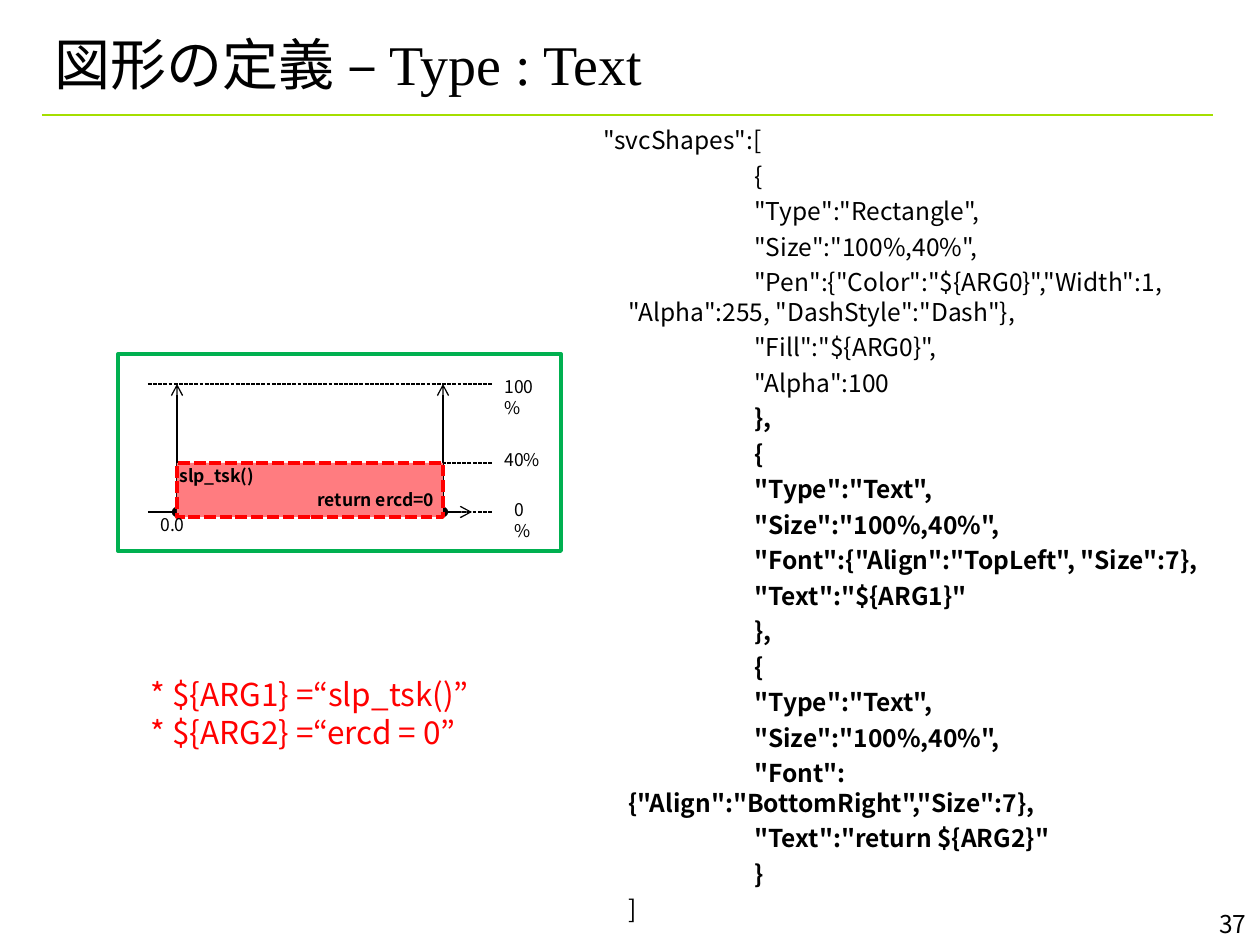
from lxml import etree
from pptx import Presentation
from pptx.dml.color import RGBColor
from pptx.enum.dml import MSO_LINE
from pptx.enum.shapes import MSO_CONNECTOR, MSO_SHAPE
from pptx.enum.text import MSO_ANCHOR, PP_ALIGN
from pptx.oxml.ns import qn
from pptx.util import Emu, Inches, Pt

PX = 914400 / 126
SANS, SERIF = "Noto Sans CJK JP", "Times New Roman"
COLORS = {
    "ink": "000000",
    "rule": "A4DE00",
    "bar": "FF7C80",
    "red": "FF0000",
    "frame": "00B050",
}


def add_text(parent, box, lines, size=10, color="ink", bold_lines=(), align=PP_ALIGN.LEFT,
             anchor=MSO_ANCHOR.TOP, hanging=0, gap=0):
    """Each line is a string, or a list of (text, font) pairs."""
    frame = parent.add_textbox(*[Emu(round(v * PX)) for v in box]).text_frame
    frame.word_wrap = True
    frame.vertical_anchor = anchor
    for number, line in enumerate(lines):
        paragraph = frame.paragraphs[0] if number == 0 else frame.add_paragraph()
        paragraph.alignment = align
        if number and gap:
            paragraph.space_before = Pt(gap)
        if hanging:
            properties = paragraph._p.get_or_add_pPr()
            indent = round(hanging * PX)
            properties.set("marL", str(indent))
            properties.set("indent", str(-indent))
            properties.set("defTabSz", str(Inches(1)))
            stops = etree.SubElement(properties, qn("a:tabLst"))
            for inch in range(8):
                etree.SubElement(stops, qn("a:tab"), pos=str(Inches(inch)), algn="l")
        for text, font in [(line, SANS)] if isinstance(line, str) else line:
            run = paragraph.add_run()
            run.text = text
            run.font.name = font
            run.font.size = Pt(size)
            run.font.bold = number in bold_lines
            run.font.color.rgb = RGBColor.from_string(COLORS[color])
            etree.SubElement(run._r.get_or_add_rPr(), qn("a:ea"), typeface=font)


def add_line(parent, points, color="ink", width=0.75, dash=None, head=None, tail=None):
    line = parent.add_connector(MSO_CONNECTOR.STRAIGHT, *[Emu(round(v * PX)) for v in points])
    line.line.color.rgb = RGBColor.from_string(COLORS[color])
    line.line.width = Pt(width)
    if dash:
        line.line.dash_style = dash
    for end, kind in (("a:headEnd", head), ("a:tailEnd", tail)):
        if kind:
            etree.SubElement(line.line._get_or_add_ln(), qn(end), type=kind)
    etree.SubElement(line._element.spPr, qn("a:effectLst"))


prs = Presentation()
prs.slide_width, prs.slide_height = Inches(10), Inches(7.5)
slide = prs.slides.add_slide(prs.slide_layouts[6])
shapes = slide.shapes

add_line(shapes, (42, 115, 1213, 115), color="rule", width=1.5)
add_text(shapes, (1144, 903, 115, 42), ["37"], size=14, align=PP_ALIGN.RIGHT)
add_text(shapes, (42, 32, 1166, 63), [[("図形の定義 – ", SANS), ("Type : Text", SERIF)]],
         size=32, anchor=MSO_ANCHOR.MIDDLE)

code = [
    '"svcShapes":[',
    '\t\t{',
    '\t\t"Type":"Rectangle",',
    '\t\t"Size":"100%,40%",',
    '\t\t"Pen":{"Color":"${ARG0}","Width":1, \t"Alpha":255, "DashStyle":"Dash"},',
    '\t\t"Fill":"${ARG0}",',
    '\t\t"Alpha":100',
    '\t\t},',
    '\t\t{',
    '\t\t"Type":"Text",',
    '\t\t"Size":"100%,40%",',
    '\t\t"Font":{"Align":"TopLeft", "Size":7},',
    '\t\t"Text":"${ARG1}"',
    '\t\t},',
    '\t\t{',
    '\t\t"Type":"Text",',
    '\t\t"Size":"100%,40%",',
    '\t\t"Font":{"Align":"BottomRight","Size":7},',
    '\t\t"Text":"return ${ARG2}"',
    '\t\t}',
    '\t]',
]
add_text(shapes, (591, 119, 640, 777), code, size=14, bold_lines=range(7, 20),
         hanging=25, gap=3.5)

# Diagram: axes and level lines, then the bar and its labels
diagram = shapes.add_group_shape().shapes
start, end, level_end = 177, 443, 492
top, level_40, base = 384, 463, 512
add_line(diagram, (148, top, level_end, top), dash=MSO_LINE.SQUARE_DOT)
add_line(diagram, (level_end, level_40, end, level_40), dash=MSO_LINE.SQUARE_DOT)
add_line(diagram, (148, base, 472, base), tail="arrow")
add_line(diagram, (452, base, level_end, base), dash=MSO_LINE.SQUARE_DOT)
for x in (start, end):
    add_line(diagram, (x, base, x, top), head="oval", tail="arrow")

bar = diagram.add_shape(MSO_SHAPE.RECTANGLE, *[
    Emu(round(v * PX)) for v in (start, level_40, end - start, 54)])
bar.shadow.inherit = False
bar.fill.solid()
bar.fill.fore_color.rgb = RGBColor.from_string(COLORS["bar"])
bar.line.color.rgb = RGBColor.from_string(COLORS["red"])
bar.line.width = Pt(2.25)
bar.line.dash_style = MSO_LINE.SQUARE_DOT

for label, box, bold in (
    ("100%", (level_end, 370, 69, 34), False),
    ("40%", (level_end, 443, 69, 34), False),
    ("0%", (502, 493, 49, 34), False),
    ("0.0", (148, 508, 69, 34), False),
    ("slp_tsk()", (167, 459, 158, 34), True),
    ("return ercd=0", (305, 483, 158, 55), True),
):
    add_text(diagram, box, [label], bold_lines=[0] if bold else [])

add_text(shapes, (138, 669, 413, 164), ["* ${ARG1} =“slp_tsk()”", "* ${ARG2} =“ercd = 0”"],
         size=18, color="red")

frame = shapes.add_shape(MSO_SHAPE.RECTANGLE, *[
    Emu(round(v * PX)) for v in (118, 354, 443, 197)])
frame.shadow.inherit = False
frame.fill.background()
frame.line.color.rgb = RGBColor.from_string(COLORS["frame"])
frame.line.width = Pt(2.25)

prs.save("out.pptx")
